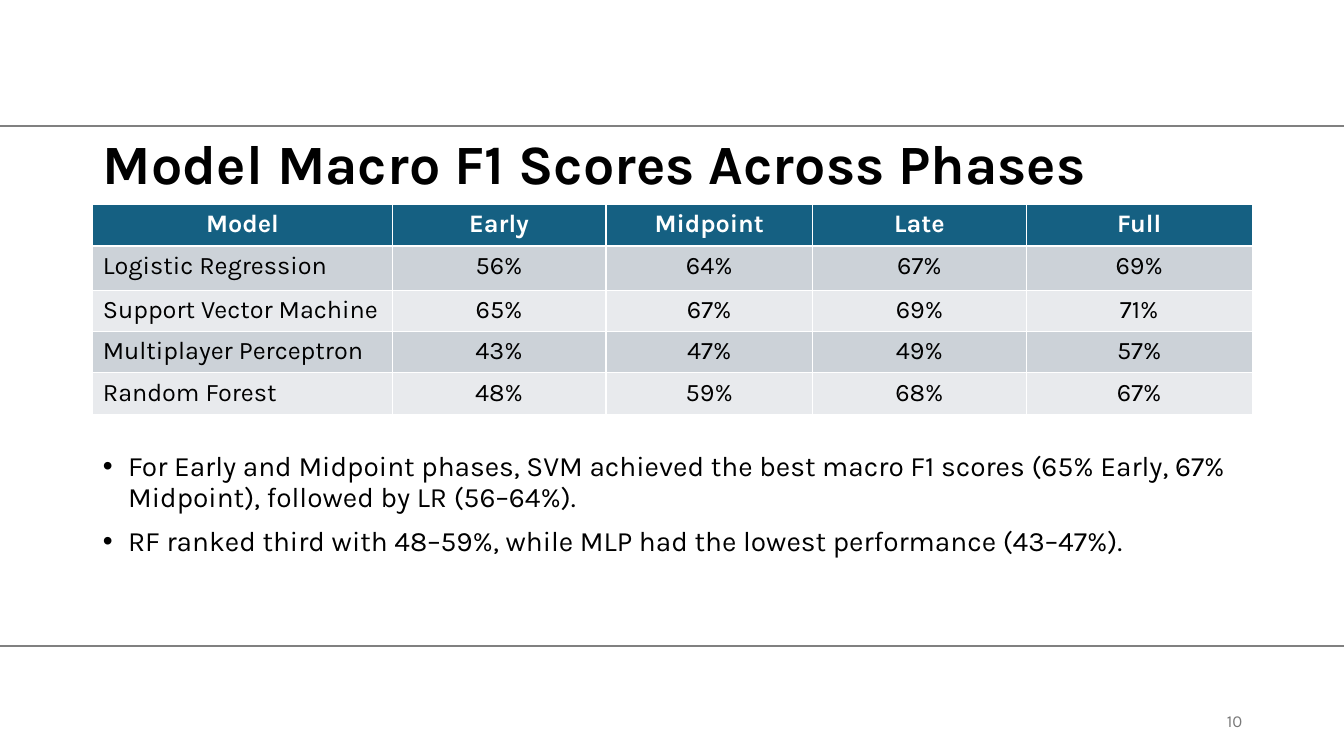
import pptx
import pptx.util
import pptx.dml.color
import pptx.enum.shapes
import pptx.enum.text
import lxml.etree

Inch = pptx.util.Inches
Pt = pptx.util.Pt
Align = pptx.enum.text.PP_ALIGN
Anchor = pptx.enum.text.MSO_ANCHOR

WIDE, HIGH = 13.33, 7.5
LEFT, SPAN = 0.92, 11.5
FONT = "Karla"
BLACK, WHITE, GREY, PALE = "000000", "FFFFFF", "808080", "797979"
HEAD, BANDS = "156082", ("CCD2D8", "E8EAED")

TITLE = "Model Macro F1 Scores Across Phases"
COLS = (2.97, 2.12, 2.05, 2.12, 2.24)
ROWS = (0.41, 0.44, 0.41, 0.41, 0.41)
SCORES = (
    ("Model", "Early", "Midpoint", "Late", "Full"),
    ("Logistic Regression", "56%", "64%", "67%", "69%"),
    ("Support Vector Machine", "65%", "67%", "69%", "71%"),
    ("Multiplayer Perceptron", "43%", "47%", "49%", "57%"),
    ("Random Forest", "48%", "59%", "68%", "67%"),
)
POINTS = (
    "For Early and Midpoint phases, SVM achieved the best macro F1 scores "
    "(65% Early, 67% Midpoint), followed by LR (56–64%).",
    "RF ranked third with 48–59%, while MLP had the lowest performance (43–47%).",
)


def tint(code):
    return pptx.dml.color.RGBColor.from_string(code)


def style(para, size, color, bold=False, align=Align.LEFT):
    para.alignment = align
    for run in para.runs:
        run.font.name = FONT
        run.font.size = Pt(size)
        run.font.bold = bold
        run.font.color.rgb = tint(color)


def place(shape, box):
    shape.left, shape.top, shape.width, shape.height = map(Inch, box)


def draw_rule(slide, top):
    line = slide.shapes.add_connector(
        pptx.enum.shapes.MSO_CONNECTOR.STRAIGHT,
        0, Inch(top), Inch(WIDE), Inch(top))
    line.line.color.rgb = tint(GREY)
    line.line.width = Pt(1.5)
    props = line._element.spPr
    lxml.etree.SubElement(props, pptx.oxml.ns.qn("a:effectLst"))


def fill_title(slide, box):
    title = slide.shapes.title
    place(title, box)
    frame = title.text_frame
    frame.text = TITLE
    frame.auto_size = pptx.enum.text.MSO_AUTO_SIZE.NONE
    frame.vertical_anchor = Anchor.MIDDLE
    para = frame.paragraphs[0]
    para.line_spacing = 0.9
    style(para, 39.6, BLACK, True)


def fill_body(slide, box):
    body = slide.placeholders[1]
    place(body, box)
    frame = body.text_frame
    frame.text = "\n".join(POINTS)
    frame.auto_size = pptx.enum.text.MSO_AUTO_SIZE.NONE
    frame.vertical_anchor = Anchor.TOP
    for para in frame.paragraphs:
        para.line_spacing = 0.9
        para.space_before = Pt(10)
        style(para, 20, BLACK)
        props = para._p.get_or_add_pPr()
        props.set("marL", str(Inch(0.25)))
        props.set("indent", str(-Inch(0.25)))


def draw_table(slide, box):
    table = slide.shapes.add_table(
        len(ROWS), len(COLS), *map(Inch, box)).table
    for col, width in zip(table.columns, COLS):
        col.width = Inch(width)
    for r, (height, row) in enumerate(zip(ROWS, SCORES)):
        table.rows[r].height = Inch(height)
        top = r == 0
        for c, text in enumerate(row):
            cell = table.cell(r, c)
            cell.text = text
            cell.fill.solid()
            cell.fill.fore_color.rgb = tint(HEAD if top else BANDS[(r - 1) % 2])
            align = Align.CENTER if top or c else Align.LEFT
            style(cell.text_frame.paragraphs[0], 18,
                  WHITE if top else BLACK, top, align)


def draw_page(slide, box):
    frame = slide.shapes.add_textbox(*map(Inch, box)).text_frame
    frame.word_wrap = True
    frame.text = "10"
    frame.vertical_anchor = Anchor.MIDDLE
    style(frame.paragraphs[0], 12, PALE, align=Align.RIGHT)


def main():
    deck = pptx.Presentation()
    deck.slide_width, deck.slide_height = Inch(WIDE), Inch(HIGH)
    slide = deck.slides.add_slide(deck.slide_layouts[1])
    for top in (1.25, 6.41):
        draw_rule(slide, top)
    fill_title(slide, (LEFT, 1.4, SPAN, 0.5))
    fill_body(slide, (LEFT, 4.44, SPAN, 2.16))
    draw_table(slide, (LEFT, 2.03, SPAN, sum(ROWS)))
    draw_page(slide, (LEFT + SPAN - 3, 6.95, 3, 0.4))
    deck.save("out.pptx")


if __name__ == "__main__":
    main()
